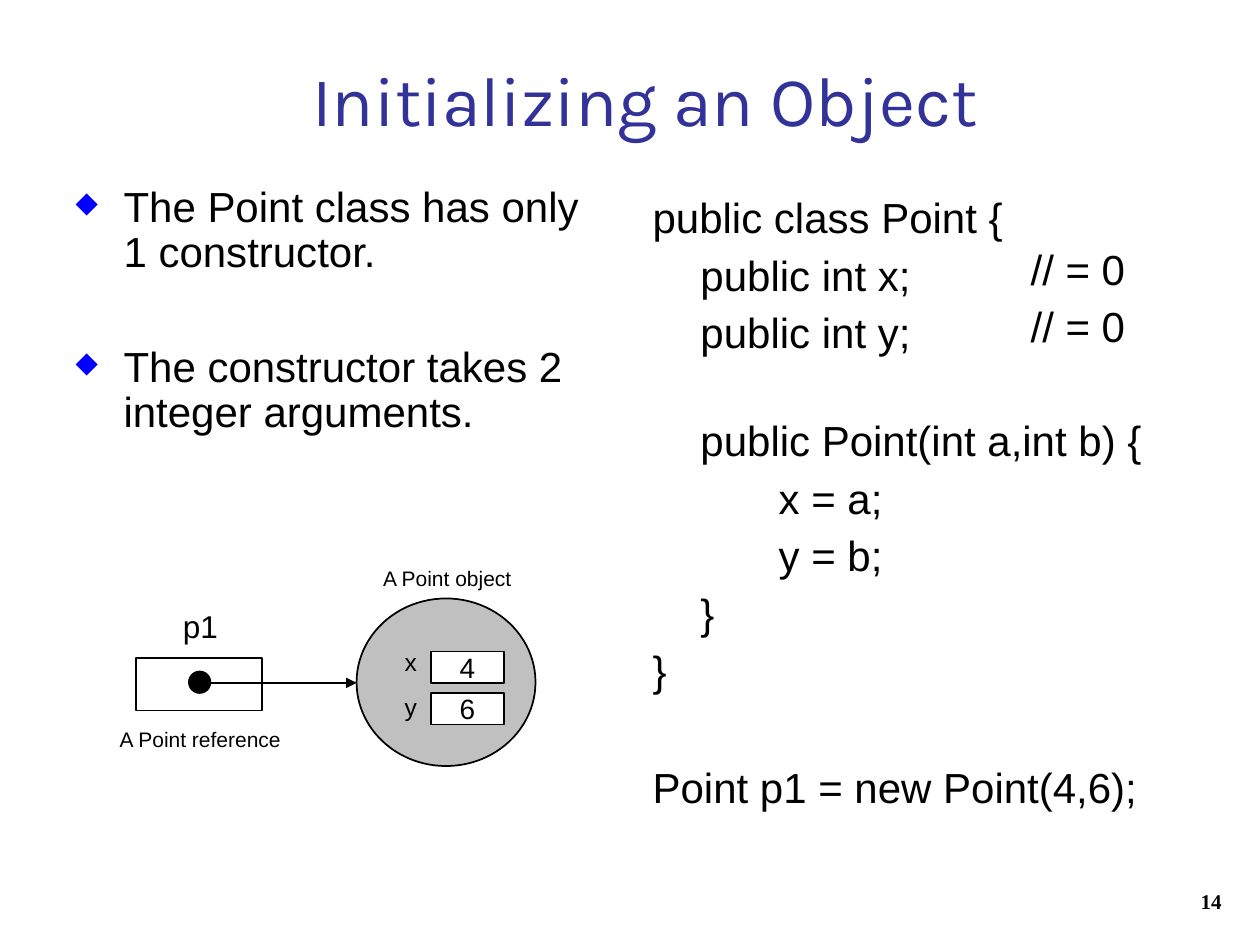
from dataclasses import dataclass
from typing import NamedTuple

from lxml import etree
from pptx import Presentation
from pptx import util as u
from pptx.dml.color import RGBColor
from pptx.enum import shapes, text
from pptx.oxml import ns


@dataclass(frozen=True)
class Theme:
    title_color: RGBColor = RGBColor(0x32, 0x32, 0x98)
    ink: RGBColor = RGBColor(0, 0, 0)
    paper: RGBColor = RGBColor(0xFF, 0xFF, 0xFF)
    object_fill: RGBColor = RGBColor(0xC0, 0xC0, 0xC0)
    bullet_color: str = "0000FF"
    title_font: str = "Karla"
    body_font: str = "Arial"
    number_font: str = "Times New Roman"
    title_size: float = 40
    body_size: float = 24
    name_size: float = 18
    value_size: float = 16
    field_size: float = 14
    caption_size: float = 12
    line_width: float = 1


THEME = Theme()


class Box(NamedTuple):
    left: float
    top: float
    width: float
    height: float


class Line(NamedTuple):
    wording: str
    indent: float = 0
    before: float = 0


class Label(NamedTuple):
    wording: str
    center_x: float
    center_y: float
    size: float


class Field(NamedTuple):
    value: str
    top: float


CODE_GAP = 4.1
CODE = [
    Line("public class Point {"),
    Line("public int x;", 0.38, CODE_GAP),
    Line("public int y;", 0.38, CODE_GAP),
    Line("public Point(int a,int b) {", 0.38, 33),
    Line("x = a;", 1, CODE_GAP),
    Line("y = b;", 1, CODE_GAP),
    Line("}", 0.38, CODE_GAP),
    Line("}", 0, CODE_GAP),
    Line("Point p1 = new Point(4,6);", 0, 38),
]
COMMENTS = [Line("// = 0"), Line("// = 0", 0, CODE_GAP)]
BULLETS = [
    Line("The Point class has only 1 constructor.", 0.39),
    Line("The constructor takes 2 integer arguments.", 0.39, 39.6),
]
LABELS = [
    Label("A Point object", 3.55, 4.59, THEME.caption_size),
    Label("p1", 1.59, 4.97, THEME.name_size),
    Label("x", 3.26, 5.25, THEME.field_size),
    Label("y", 3.26, 5.61, THEME.field_size),
    Label("A Point reference", 1.59, 5.87, THEME.caption_size),
]
FIELDS = [Field("4", 5.17), Field("6", 5.5)]

REFERENCE = Box(1.08, 5.22, 1, 0.42)
DOT = Box(1.5, 5.33, 0.17, 0.17)
POINT_OBJECT = Box(2.83, 4.75, 1.42, 1.33)
ARROW_Y = 5.42


def inches(box: Box) -> list:
    return [u.Inches(length) for length in box]


def prepare_frame(shape, anchor=text.MSO_ANCHOR.TOP):
    frame = shape.text_frame
    frame.margin_left = frame.margin_right = 0
    frame.margin_top = frame.margin_bottom = 0
    frame.auto_size = text.MSO_AUTO_SIZE.NONE
    frame.word_wrap = True
    frame.vertical_anchor = anchor
    return frame


def add_run(paragraph, wording: str, size: float, font: str = THEME.body_font,
            color: RGBColor = THEME.ink, bold: bool = False) -> None:
    run = paragraph.add_run()
    run.text = wording
    run.font.name = font
    run.font.size = u.Pt(size)
    run.font.bold = bold
    run.font.color.rgb = color


def set_bullet(paragraph) -> None:
    properties = paragraph._p.get_or_add_pPr()
    properties.set("indent", str(u.Inches(-0.38)))
    color = etree.SubElement(properties, ns.qn("a:buClr"))
    etree.SubElement(color, ns.qn("a:srgbClr"), val=THEME.bullet_color)
    etree.SubElement(properties, ns.qn("a:buSzPct"), val="69000")
    etree.SubElement(properties, ns.qn("a:buChar"), char="◆")


def add_lines(slide, box: Box, lines: list[Line], bulleted: bool = False) -> None:
    frame = prepare_frame(slide.shapes.add_textbox(*inches(box)))
    for number, line in enumerate(lines):
        paragraph = frame.add_paragraph() if number else frame.paragraphs[0]
        paragraph.space_before = u.Pt(line.before)
        paragraph._p.get_or_add_pPr().set("marL", str(u.Inches(line.indent)))
        if bulleted:
            paragraph.line_spacing = u.Pt(25.9)
            set_bullet(paragraph)
        add_run(paragraph, line.wording, THEME.body_size)


def write_centered(shape, wording: str, size: float) -> None:
    paragraph = prepare_frame(shape, text.MSO_ANCHOR.MIDDLE).paragraphs[0]
    paragraph.alignment = text.PP_ALIGN.CENTER
    add_run(paragraph, wording, size)


def add_label(slide, label: Label) -> None:
    width, height = 1.6, 0.3
    box = Box(label.center_x - width / 2, label.center_y - height / 2, width, height)
    write_centered(slide.shapes.add_textbox(*inches(box)), label.wording, label.size)


def add_outlined(slide, kind, box: Box, fill: RGBColor | None = None):
    shape = slide.shapes.add_shape(kind, *inches(box))
    shape.shadow.inherit = False
    if fill is None:
        shape.fill.background()
    else:
        shape.fill.solid()
        shape.fill.fore_color.rgb = fill
    shape.line.color.rgb = THEME.ink
    shape.line.width = u.Pt(THEME.line_width)
    return shape


def add_arrow(slide, start_x: float, end_x: float, y: float) -> None:
    arrow = slide.shapes.add_connector(
        shapes.MSO_CONNECTOR.STRAIGHT,
        u.Inches(start_x), u.Inches(y), u.Inches(end_x), u.Inches(y))
    arrow.line.color.rgb = THEME.ink
    arrow.line.width = u.Pt(THEME.line_width)
    etree.SubElement(arrow.line._get_or_add_ln(), ns.qn("a:tailEnd"), type="triangle")
    etree.SubElement(arrow._element.spPr, ns.qn("a:effectLst"))


def add_title(slide) -> None:
    title = slide.shapes.title
    title.left, title.top, title.width, title.height = inches(Box(2.48, 0.45, 6.84, 0.67))
    paragraph = prepare_frame(title).paragraphs[0]
    paragraph.alignment = text.PP_ALIGN.LEFT
    paragraph.line_spacing = u.Pt(47.9)
    add_run(paragraph, "Initializing an Object", THEME.title_size,
            THEME.title_font, THEME.title_color)


def add_page_number(slide) -> None:
    shape = slide.shapes.add_textbox(*inches(Box(9.53, 7.07, 0.27, 0.18)))
    paragraph = prepare_frame(shape).paragraphs[0]
    paragraph.line_spacing = u.Pt(13.2)
    add_run(paragraph, "14", THEME.caption_size, THEME.number_font, bold=True)


def add_diagram(slide) -> None:
    rectangle, oval = shapes.MSO_SHAPE.RECTANGLE, shapes.MSO_SHAPE.OVAL
    add_outlined(slide, rectangle, REFERENCE)
    add_outlined(slide, oval, DOT, THEME.ink)
    add_outlined(slide, oval, POINT_OBJECT, THEME.object_fill)
    for field in FIELDS:
        shape = add_outlined(slide, rectangle, Box(3.42, field.top, 0.58, 0.25), THEME.paper)
        write_centered(shape, field.value, THEME.value_size)
    add_arrow(slide, DOT.left + DOT.width, POINT_OBJECT.left, ARROW_Y)
    for label in LABELS:
        add_label(slide, label)


def main() -> None:
    presentation = Presentation()
    presentation.slide_width, presentation.slide_height = u.Inches(10), u.Inches(7.5)
    slide = presentation.slides.add_slide(presentation.slide_layouts[5])
    add_title(slide)
    add_lines(slide, Box(0.59, 1.47, 4.01, 1.96), BULLETS, bulleted=True)
    add_lines(slide, Box(5.18, 1.52, 4.1, 4.8), CODE)
    add_lines(slide, Box(8.18, 1.93, 0.9, 0.83), COMMENTS)
    add_diagram(slide)
    add_page_number(slide)
    presentation.save("out.pptx")


if __name__ == "__main__":
    main()
